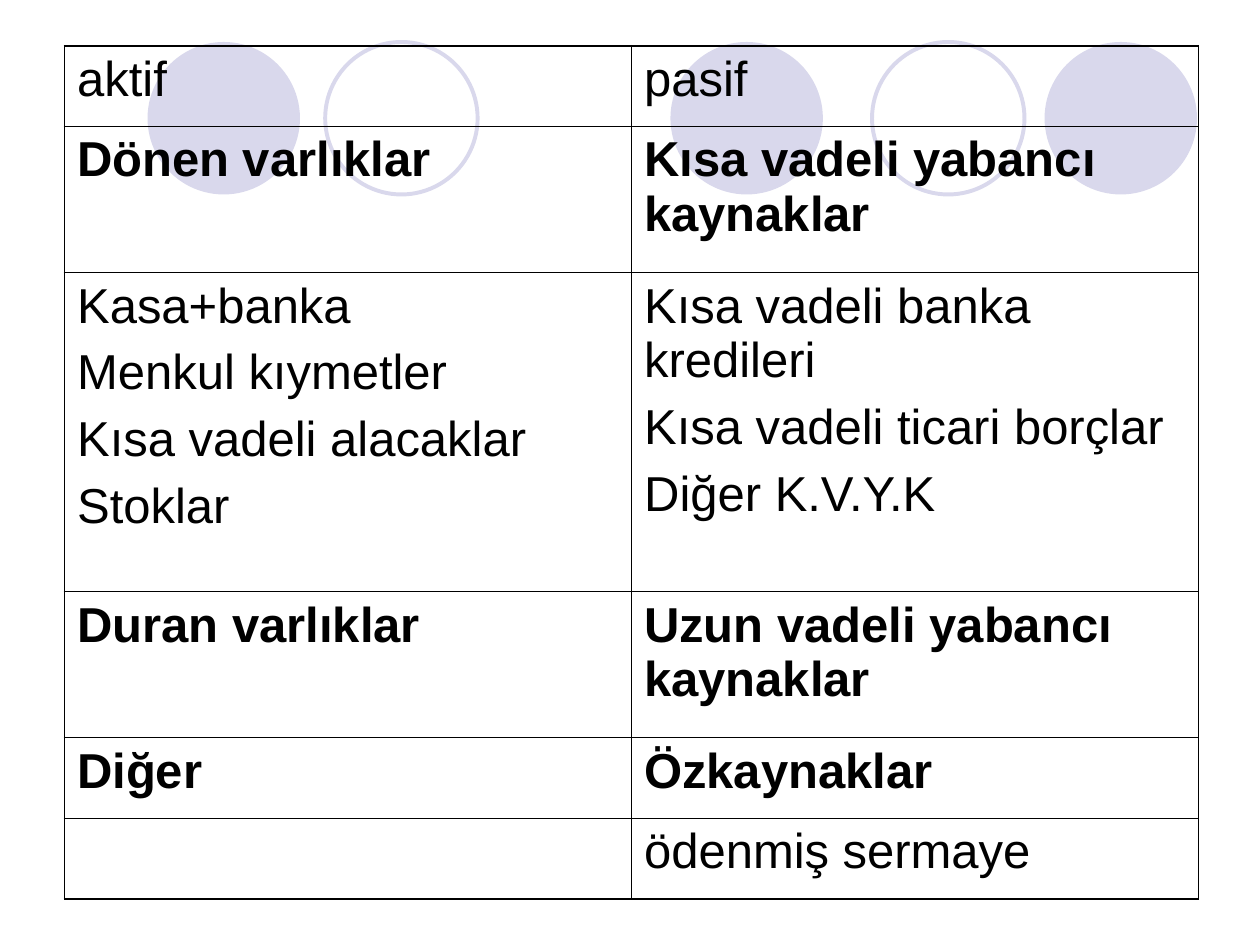
from lxml import etree
from pptx import Presentation
from pptx.dml.color import RGBColor
from pptx.enum.shapes import MSO_SHAPE
from pptx.oxml.ns import qn
from pptx.util import Pt

OVAL = MSO_SHAPE.OVAL
LAVENDER = RGBColor(0xD9, 0xD8, 0xEC)
BLACK = RGBColor(0, 0, 0)
FONT = "Arial"
BLANK_LAYOUT = 6
OUTER_LINE, INNER_LINE = 1.08, 0.45

DIAMETER = 87.1
# Left edge of each circle within the band, and whether it is filled
CIRCLES = [(298.8, True), (512.6, True), (0, True), (414, False), (101.5, False)]

# Row height, bold, assets, liabilities
BALANCE_ROWS = [
    (46.1, False, ["aktif"], ["pasif"]),
    (83.5, True, ["Dönen varlıklar"], ["Kısa vadeli yabancı kaynaklar"]),
    (182.4, False,
     ["Kasa+banka", "Menkul kıymetler", "Kısa vadeli alacaklar", "Stoklar"],
     ["Kısa vadeli banka kredileri", "Kısa vadeli ticari borçlar", "Diğer K.V.Y.K"]),
    (83.5, True, ["Duran varlıklar"], ["Uzun vadeli yabancı kaynaklar"]),
    (46.1, True, ["Diğer"], ["Özkaynaklar"]),
    (46.1, False, [], ["ödenmiş sermaye"]),
]


def add_circle_band(slide, left, top):
    for offset, filled in CIRCLES:
        circle = slide.shapes.add_shape(
            OVAL, Pt(left + offset), Pt(top), Pt(DIAMETER), Pt(DIAMETER))
        circle.shadow.inherit = False
        if filled:
            circle.fill.solid()
            circle.fill.fore_color.rgb = LAVENDER
            circle.line.fill.background()
        else:
            circle.fill.background()
            circle.line.color.rgb = LAVENDER
            circle.line.width = Pt(2.25)


def set_borders(cell, widths):
    """Draw the cell's edges; widths maps L, R, T and B to points."""
    properties = cell._tc.get_or_add_tcPr()
    for side, width in widths.items():
        edge = etree.SubElement(properties, qn(f"a:ln{side}"), w=str(Pt(width)))
        fill = etree.SubElement(edge, qn("a:solidFill"))
        etree.SubElement(fill, qn("a:srgbClr"), val=str(BLACK))


def write_entries(cell, entries, bold):
    frame = cell.text_frame
    for index, entry in enumerate(entries):
        paragraph = frame.add_paragraph() if index else frame.paragraphs[0]
        paragraph.space_before = Pt(7)
        run = paragraph.add_run()
        run.text = entry
        run.font.name = FONT
        run.font.size = Pt(28)
        run.font.bold = bold
        run.font.color.rgb = BLACK


def add_balance_sheet(slide, left, top, width):
    height = sum(row[0] for row in BALANCE_ROWS)
    table = slide.shapes.add_table(
        len(BALANCE_ROWS), 2, Pt(left), Pt(top), Pt(width), Pt(height)).table
    table.first_row = False
    table.horz_banding = False
    last_row = len(BALANCE_ROWS) - 1
    for r, (row_height, bold, *sides) in enumerate(BALANCE_ROWS):
        table.rows[r].height = Pt(row_height)
        for c, entries in enumerate(sides):
            cell = table.cell(r, c)
            outer = {"L": c == 0, "R": c == 1, "T": r == 0, "B": r == last_row}
            set_borders(cell, {side: OUTER_LINE if is_outer else INNER_LINE
                               for side, is_outer in outer.items()})
            cell.fill.background()
            write_entries(cell, entries, bold)


def main():
    presentation = Presentation()
    presentation.slide_width = Pt(720)
    presentation.slide_height = Pt(540)
    slide = presentation.slides.add_slide(presentation.slide_layouts[BLANK_LAYOUT])
    add_circle_band(slide, left=84.3, top=24)
    add_balance_sheet(slide, left=36.9, top=26.1, width=648)
    presentation.save("out.pptx")


if __name__ == "__main__":
    main()
